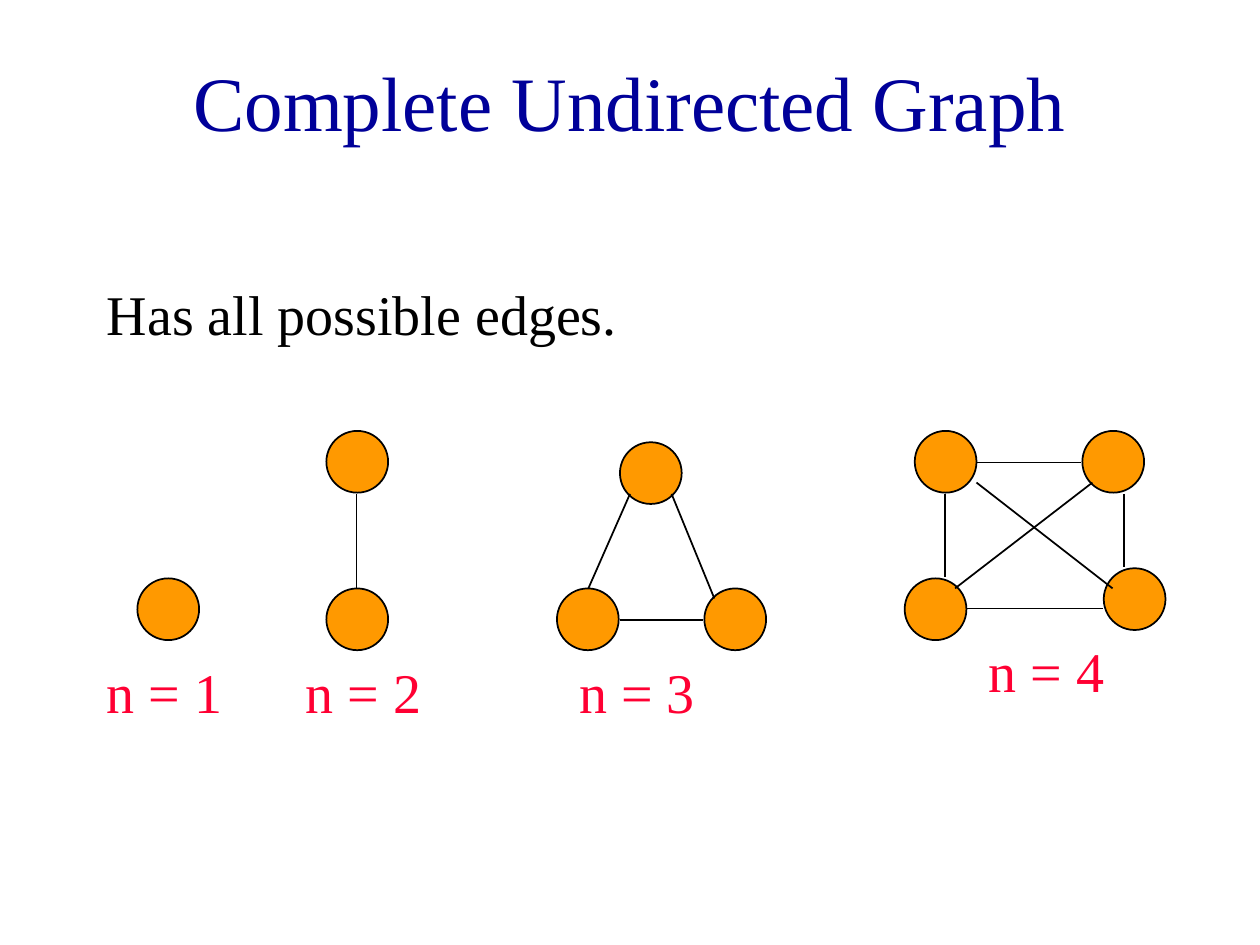
"""Build a slide showing complete undirected graphs with one to four vertices."""
from dataclasses import dataclass

from lxml import etree
from pptx import Presentation
from pptx.dml.color import RGBColor
from pptx.enum.shapes import MSO_CONNECTOR, MSO_SHAPE
from pptx.enum.text import MSO_ANCHOR, MSO_AUTO_SIZE, PP_ALIGN
from pptx.oxml.ns import qn
from pptx.util import Inches, Pt

ELLIPSE = MSO_SHAPE.OVAL
STRAIGHT = MSO_CONNECTOR.STRAIGHT
LEFT, CENTER = PP_ALIGN.LEFT, PP_ALIGN.CENTER
TOP, MIDDLE = MSO_ANCHOR.TOP, MSO_ANCHOR.MIDDLE
NO_RESIZE = MSO_AUTO_SIZE.NONE


@dataclass(frozen=True)
class Theme:
    font: str = "Times New Roman"
    title_color: str = "000099"
    text_color: str = "000000"
    label_color: str = "FF0033"
    vertex_color: str = "FF9900"
    line_color: str = "000000"
    title_size: int = 44
    text_size: int = 32
    line_width: int = 1


GRAPHS = [
    {
        "label": ("n = 1", 0.75, 5.17),
        "vertices": [(1.09, 4.59)],
        "edges": [],
    },
    {
        "label": ("n = 2", 2.33, 5.17),
        "vertices": [(2.59, 4.67), (2.59, 3.42)],
        "edges": [(2.83, 3.92, 2.83, 4.67)],
    },
    {
        "label": ("n = 3", 4.5, 5.17),
        "vertices": [(4.92, 3.51), (4.42, 4.67), (5.59, 4.67)],
        "edges": [
            (5.33, 3.92, 5.67, 4.75),
            (5, 3.92, 4.67, 4.67),
            (4.92, 4.92, 5.58, 4.92),
        ],
    },
    {
        "label": ("n = 4", 7.75, 5),
        "vertices": [(7.26, 3.42), (8.59, 3.42), (8.76, 4.51), (7.18, 4.59)],
        "edges": [
            (7.75, 3.67, 8.58, 3.67),
            (8.92, 3.92, 8.92, 4.5),
            (7.5, 3.92, 7.5, 4.58),
            (7.67, 4.83, 8.75, 4.83),
            (7.75, 3.83, 8.83, 4.67),
            (8.67, 3.83, 7.58, 4.67),
        ],
    },
]


def write_text(frame, text, *, font, size, color, align=LEFT, anchor=TOP, space_before=0):
    frame.word_wrap = True
    frame.auto_size = NO_RESIZE
    frame.vertical_anchor = anchor
    paragraph = frame.paragraphs[0]
    paragraph.alignment = align
    paragraph.space_before = Pt(space_before)
    run = paragraph.add_run()
    run.text = text
    run.font.name = font
    run.font.size = Pt(size)
    run.font.color.rgb = RGBColor.from_string(color)


class SlideBuilder:
    def __init__(self, slide, theme):
        self.slide = slide
        self.theme = theme

    def text_box(self, shapes, text, left, top, width, height, **text_format):
        box = shapes.add_textbox(Inches(left), Inches(top), Inches(width), Inches(height))
        write_text(box.text_frame, text, font=self.theme.font, **text_format)

    def outline(self, line):
        line.color.rgb = RGBColor.from_string(self.theme.line_color)
        line.width = Pt(self.theme.line_width)

    def vertex(self, shapes, left, top, diameter=0.49):
        shape = shapes.add_shape(
            ELLIPSE, Inches(left), Inches(top), Inches(diameter), Inches(diameter)
        )
        shape.shadow.inherit = False
        shape.fill.solid()
        shape.fill.fore_color.rgb = RGBColor.from_string(self.theme.vertex_color)
        self.outline(shape.line)

    def edge(self, shapes, *ends):
        connector = shapes.add_connector(STRAIGHT, *map(Inches, ends))
        self.outline(connector.line)
        etree.SubElement(connector._element.spPr, qn("a:effectLst"))

    def graph(self, label, vertices, edges):
        shapes = self.slide.shapes.add_group_shape().shapes
        for position in vertices:
            self.vertex(shapes, *position)
        for ends in edges:
            self.edge(shapes, *ends)
        self.text_box(
            shapes, *label, 1.33, 0.63,
            size=self.theme.text_size, color=self.theme.label_color, space_before=20,
        )


def main():
    presentation = Presentation()
    presentation.slide_width, presentation.slide_height = Inches(10), Inches(7.5)
    slide = presentation.slides.add_slide(presentation.slide_layouts[6])
    theme = Theme()
    builder = SlideBuilder(slide, theme)
    builder.text_box(
        slide.shapes, "Complete Undirected Graph", 0.75, 0.17, 8.5, 1.25,
        size=theme.title_size, color=theme.title_color, align=CENTER, anchor=MIDDLE,
    )
    builder.text_box(
        slide.shapes, "Has all possible edges.", 0.75, 2.17, 8.5, 0.83,
        size=theme.text_size, color=theme.text_color, space_before=8,
    )
    for graph in GRAPHS:
        builder.graph(**graph)
    presentation.save("out.pptx")


if __name__ == "__main__":
    main()
